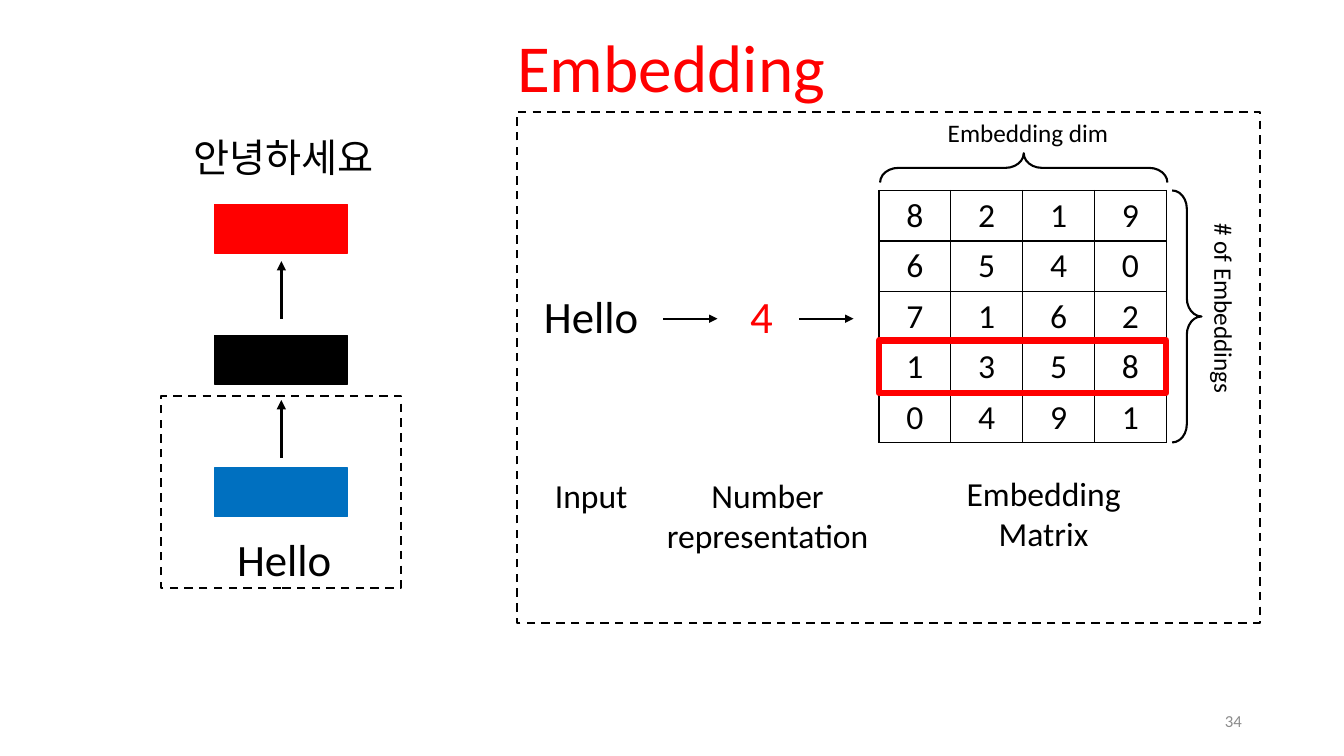
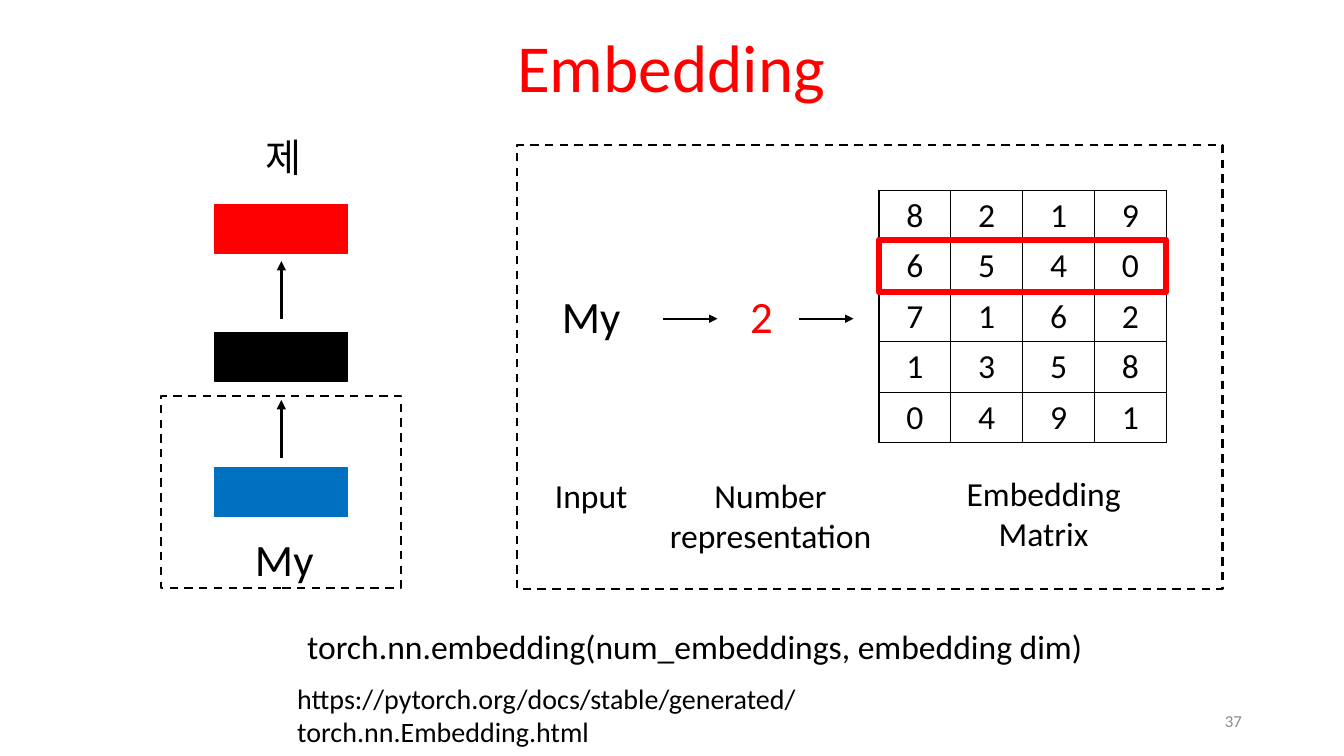
from lxml import etree
from pptx import Presentation
from pptx.dml.color import RGBColor
from pptx.enum.dml import MSO_LINE
from pptx.enum.shapes import MSO_CONNECTOR, MSO_SHAPE
from pptx.enum.text import MSO_ANCHOR, PP_ALIGN
from pptx.oxml.ns import qn
from pptx.util import Cm, Pt

BLACK = RGBColor(0x00, 0x00, 0x00)
WHITE = RGBColor(0xFF, 0xFF, 0xFF)
RED = RGBColor(0xFF, 0x00, 0x00)
BLUE = RGBColor(0x00, 0x70, 0xC0)
GRAY = RGBColor(0x8C, 0x8C, 0x8C)

LEFT, CENTER, RIGHT = PP_ALIGN.LEFT, PP_ALIGN.CENTER, PP_ALIGN.RIGHT
TOP, MIDDLE, BOTTOM = MSO_ANCHOR.TOP, MSO_ANCHOR.MIDDLE, MSO_ANCHOR.BOTTOM
RECTANGLE, BRACE = MSO_SHAPE.RECTANGLE, MSO_SHAPE.RIGHT_BRACE
STRAIGHT, DASH = MSO_CONNECTOR.STRAIGHT, MSO_LINE.DASH

FONT = "Calibri"
EMBEDDINGS = ["8219", "6540", "7162", "1358", "0491"]
MATRIX_LEFT, MATRIX_TOP = 22.15, 4.8
MATRIX_WIDTH, ROW_HEIGHT = 7.24, 1.27
MATRIX_HEIGHT = ROW_HEIGHT * len(EMBEDDINGS)
BLOCK_LEFT, BLOCK_WIDTH, BLOCK_HEIGHT = 5.41, 3.35, 1.22
STACK_AXIS = 7.09
FLOW_AXIS = 8.03


def format_paragraph(paragraph, text, size=24, color=BLACK, align=CENTER, spacing=None):
    paragraph.text = text
    paragraph.alignment = align
    paragraph.line_spacing = spacing
    paragraph.font.name = FONT
    paragraph.font.size = Pt(size)
    paragraph.font.color.rgb = color


def add_text(slide, text, left, top, width, height, anchor=TOP, rotation=0, **style):
    box = slide.shapes.add_textbox(Cm(left), Cm(top), Cm(width), Cm(height))
    box.rotation = rotation
    frame = box.text_frame
    frame.word_wrap = True
    frame.vertical_anchor = anchor
    format_paragraph(frame.paragraphs[0], text, **style)


def add_outline(slide, left, top, width, height, kind=RECTANGLE, fill=None,
                color=BLACK, weight=1.5, dash=None, rotation=0):
    shape = slide.shapes.add_shape(kind, Cm(left), Cm(top), Cm(width), Cm(height))
    shape.shadow.inherit = False
    shape.rotation = rotation
    if fill is None:
        shape.fill.background()
    else:
        shape.fill.solid()
        shape.fill.fore_color.rgb = fill
    shape.line.color.rgb = color
    shape.line.width = Pt(weight)
    if dash is not None:
        shape.line.dash_style = dash
    return shape


def add_block(slide, top, color):
    add_outline(slide, BLOCK_LEFT, top, BLOCK_WIDTH, BLOCK_HEIGHT,
                fill=color, color=color, weight=1)


def add_brace(slide, left, top, width, height, rotation=0):
    brace = add_outline(slide, left, top, width, height, kind=BRACE, rotation=rotation)
    brace.adjustments[0] = 0.62


def add_arrow(slide, x1, y1, x2, y2, weight):
    arrow = slide.shapes.add_connector(STRAIGHT, Cm(x1), Cm(y1), Cm(x2), Cm(y2))
    arrow.line.color.rgb = BLACK
    arrow.line.width = Pt(weight)
    etree.SubElement(arrow.line._get_or_add_ln(), qn("a:tailEnd"), type="triangle")
    etree.SubElement(arrow._element.spPr, qn("a:effectLst"))


def add_cell_borders(cell):
    properties = cell._tc.get_or_add_tcPr()
    for position, side in enumerate(("a:lnL", "a:lnR", "a:lnT", "a:lnB")):
        border = etree.Element(qn(side), w=str(Pt(1)))
        fill = etree.SubElement(border, qn("a:solidFill"))
        etree.SubElement(fill, qn("a:srgbClr"), val=str(BLACK))
        properties.insert(position, border)


def add_matrix(slide, selected):
    columns = len(EMBEDDINGS[0])
    matrix = slide.shapes.add_table(
        len(EMBEDDINGS), columns, Cm(MATRIX_LEFT), Cm(MATRIX_TOP),
        Cm(MATRIX_WIDTH), Cm(MATRIX_HEIGHT)).table
    matrix.first_row = False
    matrix.horz_banding = False
    for column in matrix.columns:
        column.width = Cm(MATRIX_WIDTH / columns)
    for row, digits in enumerate(EMBEDDINGS):
        matrix.rows[row].height = Cm(ROW_HEIGHT)
        for column, digit in enumerate(digits):
            cell = matrix.cell(row, column)
            cell.fill.solid()
            cell.fill.fore_color.rgb = WHITE
            add_cell_borders(cell)
            format_paragraph(cell.text_frame.paragraphs[0], digit)
    add_outline(slide, MATRIX_LEFT, MATRIX_TOP + (selected - 1) * ROW_HEIGHT - 0.03,
                MATRIX_WIDTH, 1.32, color=RED, weight=4.5)


def add_frame(deck, page):
    slide = deck.slides.add_slide(deck.slide_layouts[6])
    add_text(slide, page, 23.93, 17.65, 7.62, 1.02, anchor=MIDDLE,
             size=12, color=GRAY, align=RIGHT)
    add_text(slide, "Embedding", 2.31, 0.05, 29.21, 2.77, anchor=BOTTOM,
             size=48, color=RED, spacing=0.9)
    return slide


def add_translation_stack(slide, word, translation, middle_top):
    add_text(slide, translation, 4.39, 3.23, 5.51, 1.45, size=28)
    for top, color in ((5.16, RED), (middle_top, BLACK), (11.79, BLUE)):
        add_block(slide, top, color)
    for start in (11.53, FLOW_AXIS):
        add_arrow(slide, STACK_AXIS, start, STACK_AXIS, start - 1.45, 2.25)
    add_text(slide, word, 5.69, 13.28, 2.95, 1.63, size=32)
    add_outline(slide, 4.06, 9.98, 6.05, 4.83, dash=DASH)


def add_lookup(slide, word, index, panel, caption_left, caption_width):
    add_outline(slide, *panel, dash=DASH)
    add_text(slide, word, 13.34, 7.16, 3.12, 1.63, size=32)
    add_text(slide, str(index), 18.62, 7.16, 1.14, 1.63, size=32, color=RED)
    for start in (16.71, 20.14):
        add_arrow(slide, start, FLOW_AXIS, start + 1.37, FLOW_AXIS, 1.5)
    add_matrix(slide, index)
    add_text(slide, "Input", 13.34, 11.84, 3.12, 1.27)
    add_text(slide, "Number representation", caption_left, 11.84, caption_width, 2.31)
    add_text(slide, "Embedding Matrix", 23.44, 11.79, 5.72, 2.31)


def add_dimensions(slide):
    add_text(slide, "Embedding dim", 23.62, 2.84, 4.57, 1.02, size=18)
    add_brace(slide, 25.43, 0.61, 0.74, MATRIX_WIDTH, rotation=270)
    add_brace(slide, 29.54, MATRIX_TOP, 0.74, MATRIX_HEIGHT)
    add_text(slide, "# of Embeddings", 28.4, 7.26, 4.9, 1.02, rotation=90, size=18)


def add_reference(slide):
    add_text(slide, "torch.nn.embedding(num_embeddings, embedding dim)",
             3.02, 15.65, 28.98, 1.27)
    add_text(slide, "https://pytorch.org/docs/stable/generated/torch.nn.Embedding.html",
             7.24, 17.04, 20.35, 1.12, size=20, align=LEFT)


def main():
    deck = Presentation()
    deck.slide_width, deck.slide_height = Cm(33.87), Cm(19.05)

    hello = add_frame(deck, "34")
    add_translation_stack(hello, "Hello", "안녕하세요", 8.46)
    add_lookup(hello, "Hello", 4, (13.03, 2.82, 18.72, 12.88), 15.75, 7.19)
    add_dimensions(hello)

    my = add_frame(deck, "37")
    add_translation_stack(my, "My", "제", 8.38)
    add_lookup(my, "My", 2, (13.03, 3.66, 17.78, 11.18), 16.56, 5.72)
    add_reference(my)

    deck.save("out.pptx")


if __name__ == "__main__":
    main()
